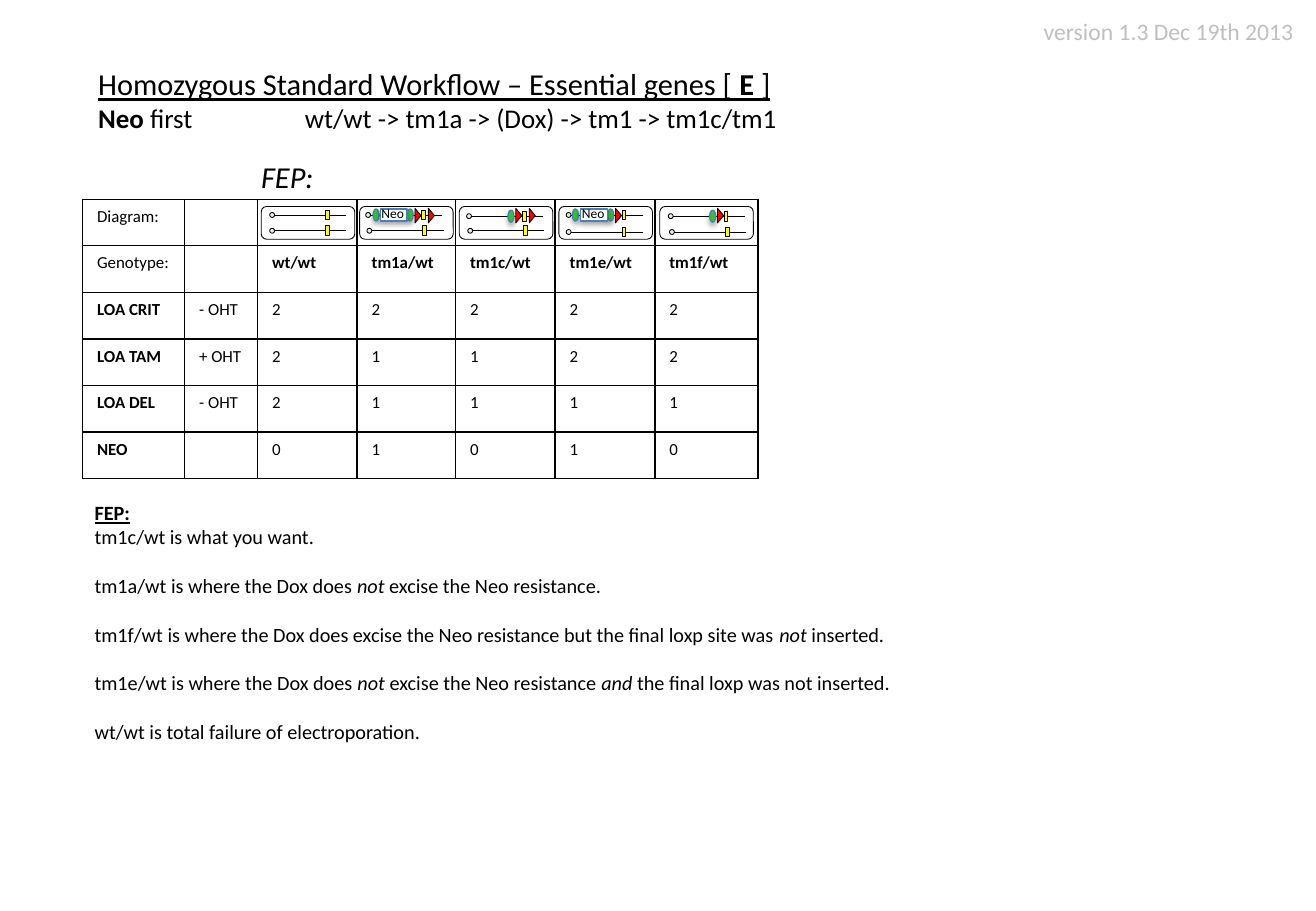
from lxml import etree
from pptx import Presentation
from pptx import util as u
from pptx.dml.color import RGBColor
from pptx.enum import shapes, text
from pptx.oxml import ns

BLACK = RGBColor(0x00, 0x00, 0x00)
WHITE = RGBColor(0xFF, 0xFF, 0xFF)
GREY = RGBColor(0xBF, 0xBF, 0xBF)
CREAM = RGBColor(0xEE, 0xEC, 0xE1)
YELLOW = RGBColor(0xFF, 0xFF, 0x00)
RED = RGBColor(0xFF, 0x00, 0x00)
GREEN = RGBColor(0x2E, 0xC7, 0x28)
BLUE = RGBColor(0x4B, 0x7E, 0xBC)
KIND = shapes.MSO_SHAPE

# The slide is a grid of 1083 columns by 750 rows; all places count its cells.
CELL = u.Inches(0.01)
presentation = Presentation()
presentation.slide_width = 1083 * CELL
presentation.slide_height = 750 * CELL
slide = presentation.slides.add_slide(presentation.slide_layouts[6])


def write(frame, lines, size=10, color=BLACK, styles="", gap=0):
    """Write lines of (text, style letters) runs; gap is space before, from line three on."""
    for number, runs in enumerate(lines):
        paragraph = frame.add_paragraph() if number else frame.paragraphs[0]
        if gap and number > 1:
            paragraph.space_before = u.Pt(gap)
        for words, letters in runs:
            run = paragraph.add_run()
            run.text = words
            font = run.font
            font.name, font.size = "Calibri", u.Pt(size)
            font.color.rgb = color
            font.bold = "b" in styles + letters
            font.italic = "i" in styles + letters
            font.underline = "u" in styles + letters


def draw(group, kind, place, fill=None, line=BLACK, weight=0.5, shadow=False):
    """Add one preset shape to a group, with an optional soft shadow below it."""
    shape = group.shapes.add_shape(kind, *(cells * CELL for cells in place))
    shape.shadow.inherit = False
    if fill is None:
        shape.fill.background()
    else:
        shape.fill.solid()
        shape.fill.fore_color.rgb = fill
    shape.line.color.rgb = line
    shape.line.width = u.Pt(weight)
    if shadow:
        effects = shape._element.spPr.find(ns.qn("a:effectLst"))
        outer = etree.SubElement(effects, ns.qn("a:outerShdw"), blurRad=str(u.Pt(3.1)),
                                 dist=str(u.Pt(1.8)), dir="5400000", rotWithShape="0")
        tint = etree.SubElement(outer, ns.qn("a:srgbClr"), val=str(BLACK))
        etree.SubElement(tint, ns.qn("a:alpha"), val="35000")
    return shape


# Headings, notes and version
title_lines = [
    [("Homozygous Standard Workflow – Essential genes [ ", "u"), ("E", "bu"), (" ]", "u")],
]
order_lines = [[("Neo", "b"), (" first\twt/wt -> tm1a -> (Dox) -> tm1 -> tm1c/tm1", "")]]
note_lines = [
    [("FEP:", "bu")],
    [("tm1c/wt is what you want.", "")],
    [("tm1a/wt is where the Dox does ", ""), ("not", "i"),
     (" excise the Neo resistance.", "")],
    [("tm1f/wt is where the Dox does excise the Neo resistance but the final loxp site was ", ""),
     ("not", "i"), (" inserted.", "")],
    [("tm1e/wt is where the Dox does ", ""), ("not", "i"), (" excise the Neo resistance ", ""),
     ("and", "i"), (" the final loxp was not inserted.", "")],
    [("wt/wt is total failure of electroporation.", "")],
]
text_blocks = [
    ((71, 49, 601, 67), title_lines, dict(size=18)),
    ((205, 125, 70, 40), [[("FEP:", "i")]], dict(size=18)),
    ((68, 407, 851, 212), note_lines, dict(size=12, gap=14.4)),
    ((849, 9, 235, 34), [[("version 1.3 Dec 19th 2013", "")]], dict(size=14, color=GREY)),
]
for place, lines, style in text_blocks:
    frame = slide.shapes.add_textbox(*(cells * CELL for cells in place)).text_frame
    frame.word_wrap = True
    write(frame, lines, **style)
    if lines is title_lines:
        order = frame.add_paragraph()
        tabs = etree.SubElement(order._p.get_or_add_pPr(), ns.qn("a:tabLst"))
        etree.SubElement(tabs, ns.qn("a:tab"), pos=str(170 * CELL), algn="l")
        for words, letters in order_lines[0]:
            run = order.add_run()
            run.text = words
            run.font.name, run.font.size = "Calibri", u.Pt(16)
            run.font.color.rgb = BLACK
            run.font.bold = letters == "b"

# Genotype table
rows = [
    ["Diagram:", "", "", "", "", "", ""],
    ["Genotype:", "", "wt/wt", "tm1a/wt", "tm1c/wt", "tm1e/wt", "tm1f/wt"],
    ["LOA CRIT", "- OHT", "2", "2", "2", "2", "2"],
    ["LOA TAM", "+ OHT", "2", "1", "1", "2", "2"],
    ["LOA DEL", "- OHT", "2", "1", "1", "1", "1"],
    ["NEO", "", "0", "1", "0", "1", "0"],
]
column_widths = [84, 60, 82, 81, 82, 82, 85]
table = slide.shapes.add_table(len(rows), len(column_widths), 68 * CELL, 164 * CELL,
                               sum(column_widths) * CELL, 230 * CELL).table
table.first_row = table.horz_banding = False
for column, width in zip(table.columns, column_widths):
    column.width = width * CELL
for row_index, values in enumerate(rows):
    for column_index, value in enumerate(values):
        cell = table.cell(row_index, column_index)
        cell.margin_left = cell.margin_right = 12 * CELL
        cell.margin_top = cell.margin_bottom = 6 * CELL
        for edge in ("a:lnL", "a:lnR", "a:lnT", "a:lnB"):
            border = etree.SubElement(cell._tc.get_or_add_tcPr(), ns.qn(edge), w=str(u.Pt(1)))
            paint = etree.SubElement(border, ns.qn("a:solidFill"))
            etree.SubElement(paint, ns.qn("a:srgbClr"), val=str(BLACK))
        cell.fill.background()
        heading = (row_index == 1 and column_index > 1) or (row_index > 1 and column_index == 0)
        if value:
            write(cell.text_frame, [[(value, "b" if heading else "")]])
        else:
            ending = etree.SubElement(cell.text_frame.paragraphs[0]._p, ns.qn("a:endParaRPr"))
            ending.set("sz", "1000")

# Allele diagrams: frame column, ring columns and centre rows of both strands,
# then the triangle and green site columns counted from the upper ring
diagrams = [
    (215, (222, 222), (177, 190), [], [], False),
    (296, (301, 302), (177, 190), [48, 37], [34, 6], True),
    (378, (384, 385), (178, 190), [48, 37], [34], False),
    (460, (466, 466), (177, 191), [37], [34, 5], True),
    (543, (550, 551), (178, 191), [37], [34], False),
]
for left, rings, centres, triangles, sites, has_neo in diagrams:
    group = slide.shapes.add_group_shape()
    draw(group, KIND.ROUNDED_RECTANGLE, (left, 170, 77, 27))
    for ring, centre in zip(rings, centres):
        strand = group.shapes.add_connector(
            shapes.MSO_CONNECTOR.STRAIGHT, (ring + 4) * CELL, centre * CELL,
            (ring + 63) * CELL, centre * CELL)
        strand.line.color.rgb = BLACK
        strand.line.width = u.Pt(0.5)
        etree.SubElement(strand._element.spPr, ns.qn("a:effectLst"))
        draw(group, KIND.OVAL, (ring, centre - 2, 4, 4), CREAM)
        draw(group, KIND.RECTANGLE, (ring + 46, centre - 4, 3, 8), YELLOW)
    start, upper = rings[0], centres[0]
    for offset in triangles:
        triangle = draw(group, KIND.ISOSCELES_TRIANGLE, (start + offset, 175, 12, 5), RED)
        triangle.rotation = 90
    for offset in sites:
        draw(group, KIND.OVAL, (start + offset, upper - 5, 5, 10), GREEN, BLUE, 0.75, True)
    if has_neo:
        draw(group, KIND.RECTANGLE, (start + 12, upper - 5, 22, 10), WHITE, BLUE, 0.75, True)
        label = group.shapes.add_textbox((start + 3) * CELL, 164 * CELL, 40 * CELL, 24 * CELL)
        label.text_frame.word_wrap = False
        label.text_frame.vertical_anchor = text.MSO_ANCHOR.TOP
        write(label.text_frame, [[("Neo", "")]], size=8)

presentation.save("out.pptx")
